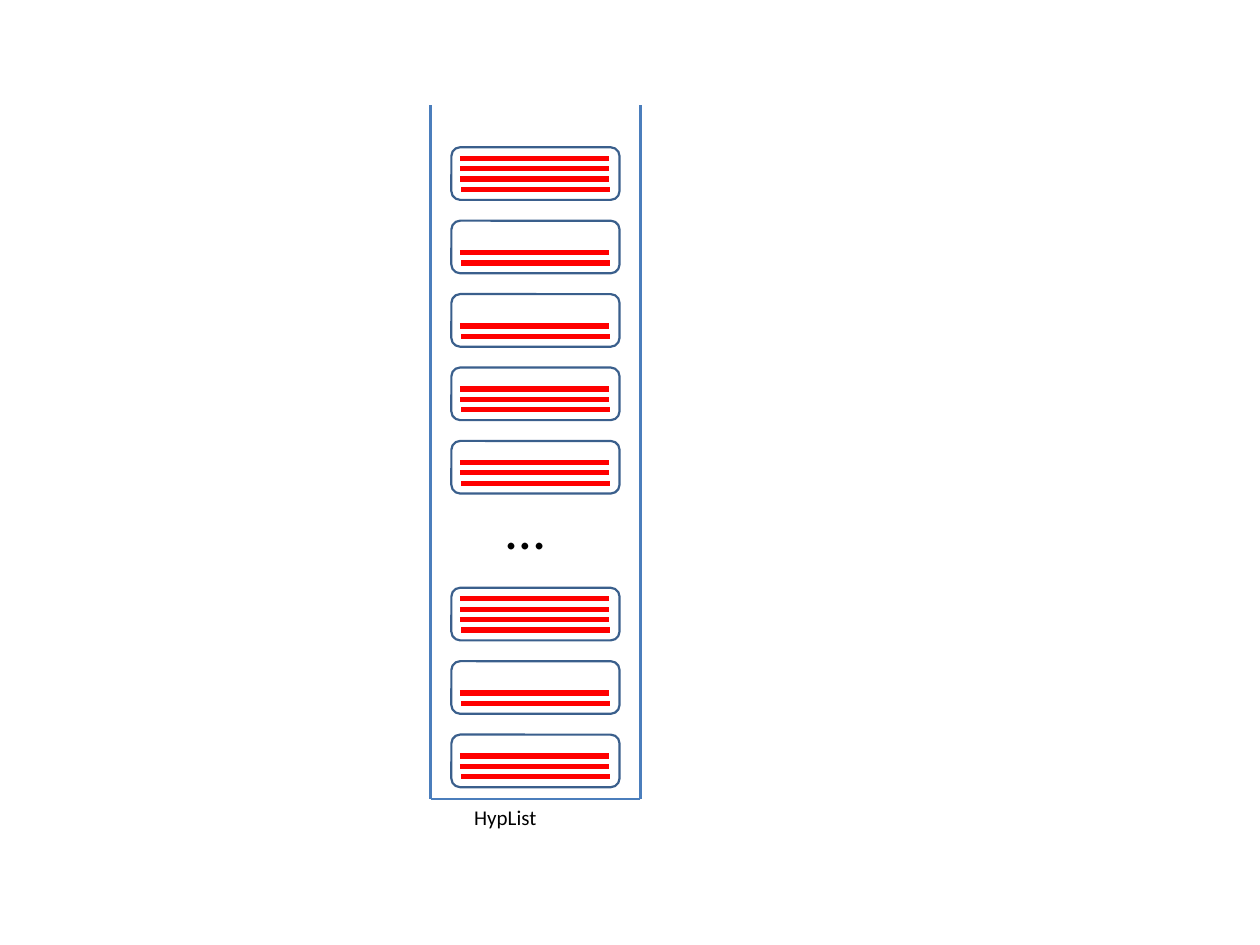
from lxml import etree
from pptx import Presentation, util as u
from pptx.dml.color import RGBColor
from pptx.enum import shapes, text
from pptx.oxml.ns import qn

COLOURS = {"paper": "FFFFFF", "ink": "000000", "outline": "3A5F8C",
           "rail": "4B7EBC", "hypothesis": "FF0000"}
ENTRY_COUNTS = [4, 2, 2, 3, 3, None, 4, 2, 3]
ENTRY_LEFT, ENTRY_TOP, ENTRY_PITCH = 9.1, 2.97, 1.48
ENTRY_WIDTH, ENTRY_HEIGHT = 3.39, 1.06
STROKE_LENGTH, STROKE_DROP, STROKE_GAP = 3, 0.85, 0.21
RAIL_LEFT, RAIL_RIGHT, RAIL_TOP, RAIL_BOTTOM = 8.68, 12.91, 2.12, 16.1


class StackPainter:
    """Draws the styled elements of the hypothesis stack on one page."""

    def __init__(self, page):
        self.page = page
        self.group = page.shapes.add_group_shape()
        self.font = "Calibri"

    def colour(self, name):
        return RGBColor.from_string(COLOURS[name])

    def line(self, x1, y1, x2, y2, colour, width):
        line = self.group.shapes.add_connector(
            shapes.MSO_CONNECTOR.STRAIGHT, u.Cm(x1), u.Cm(y1), u.Cm(x2), u.Cm(y2))
        line.line.color.rgb = self.colour(colour)
        line.line.width = u.Pt(width)
        etree.SubElement(line._element.spPr, qn("a:effectLst"))

    def entry(self, top, count):
        box = self.group.shapes.add_shape(
            shapes.MSO_SHAPE.ROUNDED_RECTANGLE, u.Cm(ENTRY_LEFT), u.Cm(top),
            u.Cm(ENTRY_WIDTH), u.Cm(ENTRY_HEIGHT))
        box.shadow.inherit = False
        box.fill.solid()
        box.fill.fore_color.rgb = self.colour("paper")
        box.line.color.rgb = self.colour("outline")
        box.line.width = u.Pt(1.25)
        for index in range(count):
            left = ENTRY_LEFT + (0.17 if index else 0.2)
            y = top + STROKE_DROP - index * STROKE_GAP
            self.line(left, y, left + STROKE_LENGTH, y, "hypothesis", 3)

    def label(self, parent, wording, left, top, width, height, size):
        box = parent.shapes.add_textbox(u.Cm(left), u.Cm(top), u.Cm(width), u.Cm(height))
        box.text_frame.word_wrap = True
        box.text_frame.auto_size = text.MSO_AUTO_SIZE.SHAPE_TO_FIT_TEXT
        para = box.text_frame.paragraphs[0]
        para.text = wording
        para.font.name = self.font
        para.font.size = u.Pt(size)
        para.font.color.rgb = self.colour("ink")


def main():
    deck = Presentation()
    deck.slide_width, deck.slide_height = u.Cm(25.4), u.Cm(19.05)
    page = deck.slides.add_slide(deck.slide_layouts[6])
    painter = StackPainter(page)

    for row, count in enumerate(ENTRY_COUNTS):
        if count:
            painter.entry(ENTRY_TOP + row * ENTRY_PITCH, count)

    for x in (RAIL_LEFT, RAIL_RIGHT):
        painter.line(x, RAIL_TOP, x, RAIL_BOTTOM, "rail", 1.25)
    painter.line(RAIL_RIGHT, RAIL_BOTTOM, RAIL_LEFT, RAIL_BOTTOM, "rail", 1.25)

    painter.label(painter.group, "…", 9.95, 9.83, 2.33, 1.62, 32)
    painter.label(page, "HypList", 9.31, 16.09, 3.39, 0.77, 12)
    deck.save("out.pptx")


if __name__ == "__main__":
    main()
